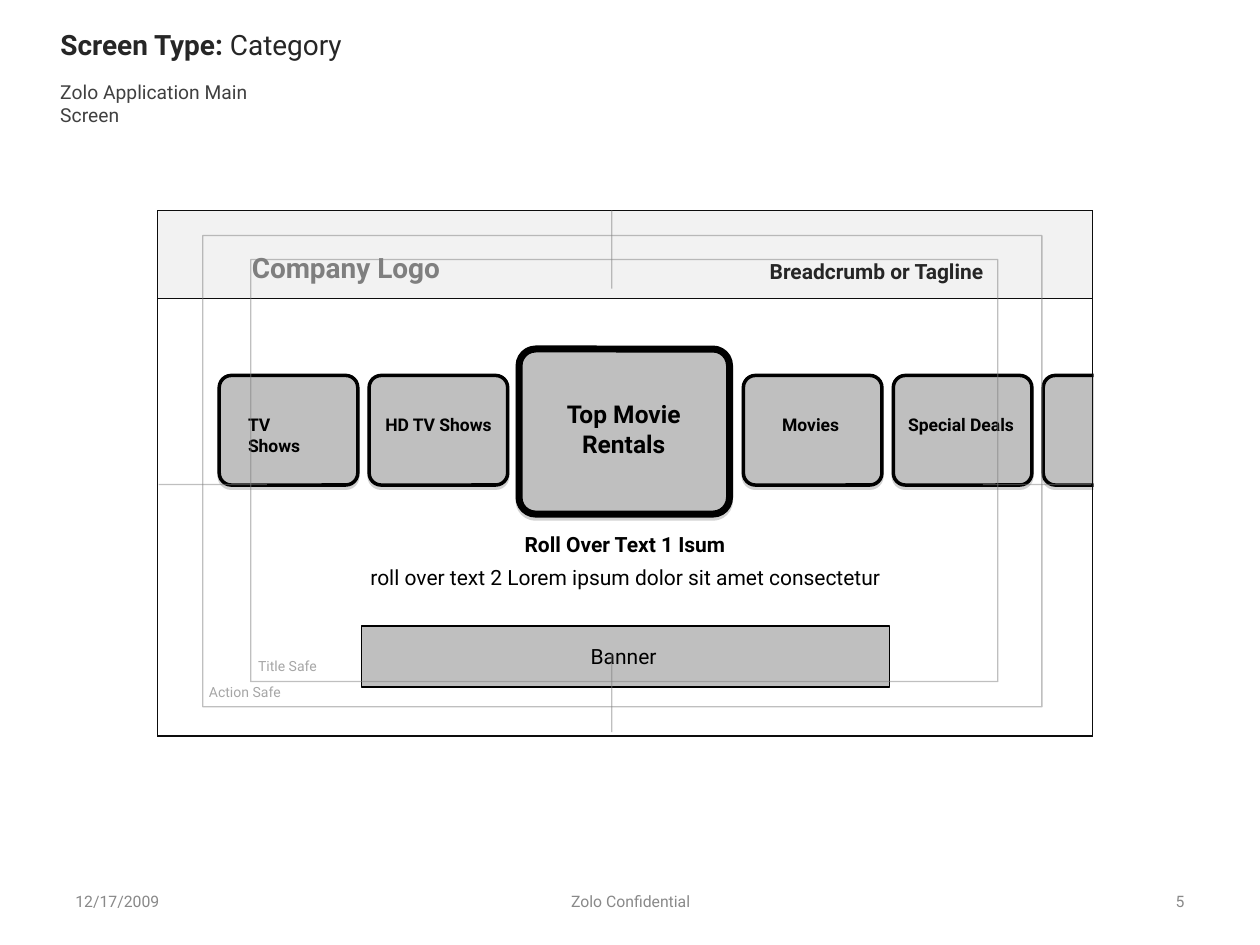
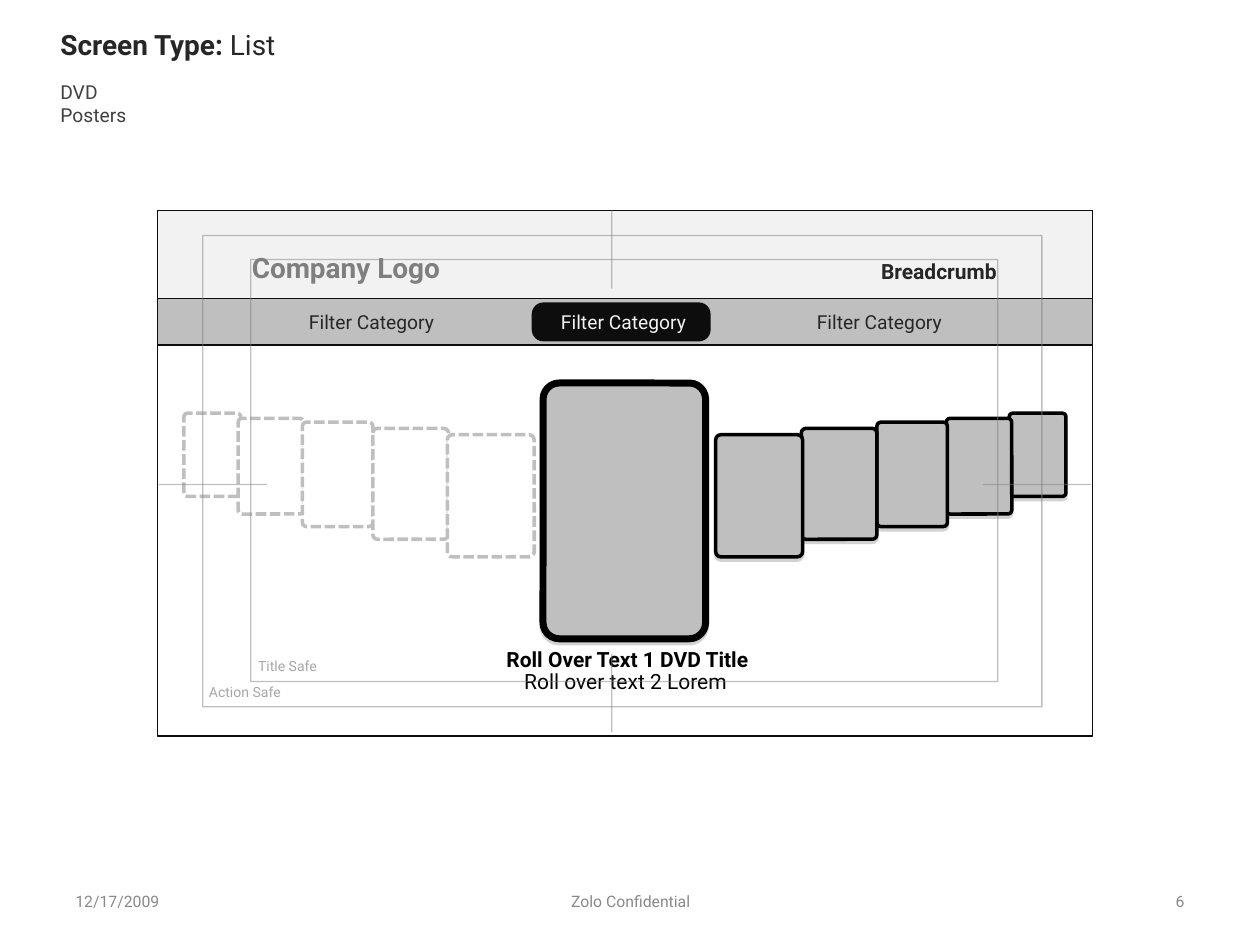
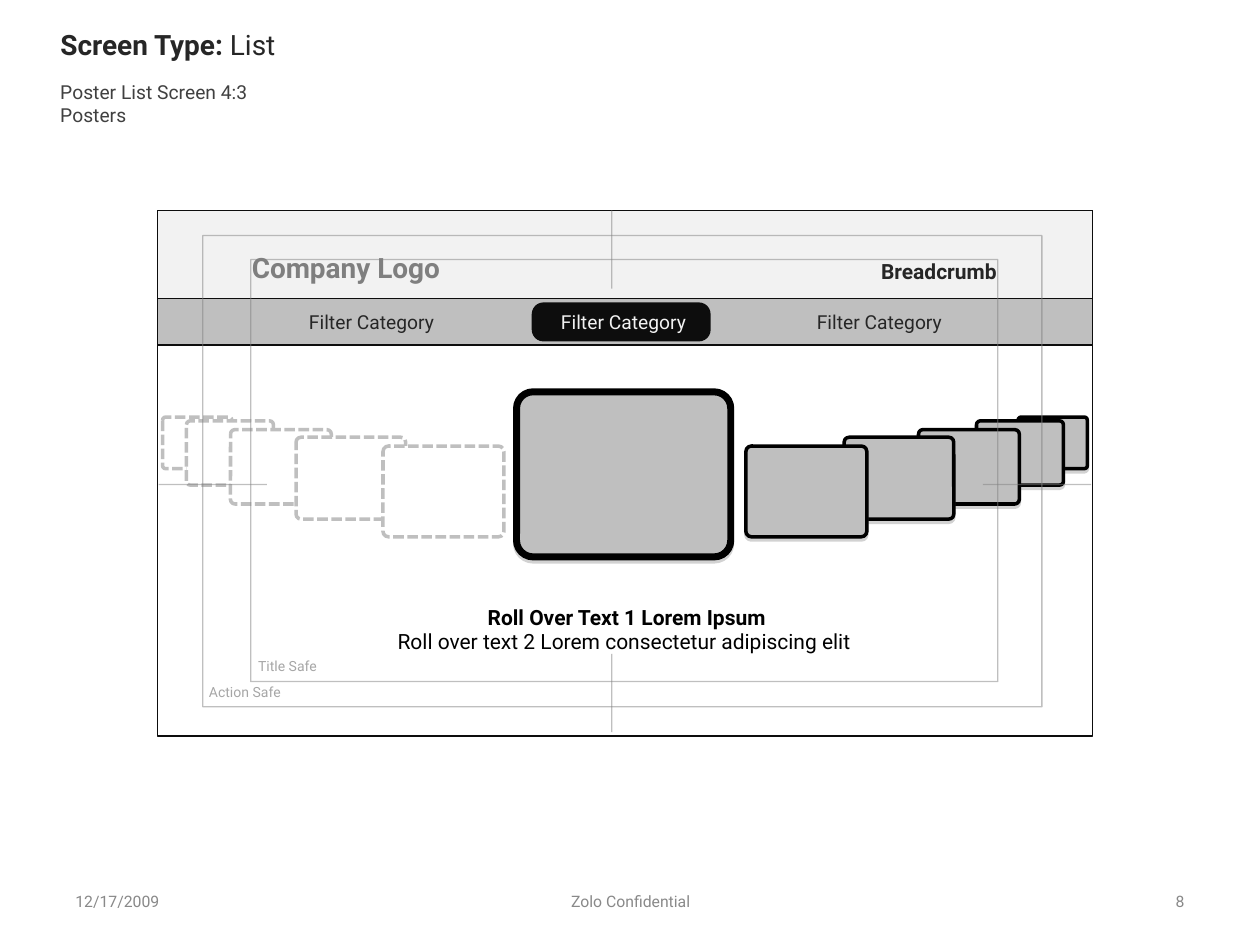
from dataclasses import dataclass
from pptx import Presentation
from pptx.dml.color import RGBColor
from pptx.enum.dml import MSO_LINE
from pptx.enum.shapes import MSO_CONNECTOR, MSO_SHAPE
from pptx.enum.text import MSO_ANCHOR, MSO_AUTO_SIZE, PP_ALIGN
from pptx.oxml import parse_xml
from pptx.oxml.ns import nsdecls, qn
from pptx.util import Inches, Pt
from lxml.etree import SubElement


@dataclass(frozen=True)
class Theme:
    font: str = "Roboto"
    black: str = "000000"
    ink: str = "0D0D0D"
    dark: str = "262626"
    body: str = "404040"
    logo: str = "7F7F7F"
    guide: str = "808080"
    footer: str = "898989"
    safe: str = "A6A6A6"
    tile: str = "BFBFBF"
    pale: str = "F2F2F2"
    white: str = "FFFFFF"
    title_size: float = 16
    focus_size: float = 14
    copy_size: float = 12
    label_size: float = 11
    tile_size: float = 10
    footer_size: float = 9
    safe_size: float = 8


T = Theme()
LEFT, CENTER, RIGHT = PP_ALIGN.LEFT, PP_ALIGN.CENTER, PP_ALIGN.RIGHT
FRAME = (1.25, 1.67, 7.42, 4.17)
MIRROR = 9.92
SHADOW = (
    f'<a:effectLst {nsdecls("a")}><a:outerShdw dist="22860" dir="5400000" '
    f'rotWithShape="0"><a:srgbClr val="{T.guide}"><a:alpha val="35000"/>'
    "</a:srgbClr></a:outerShdw></a:effectLst>"
)


def apply(obj, values):
    for name, value in values.items():
        setattr(obj, name, value)


def inches(box):
    return [Inches(v) for v in box]


def add_run(p, text, size, color, bold=False):
    r = p.add_run()
    r.text = text
    apply(r.font, {"name": T.font, "size": Pt(size), "bold": bold})
    r.font.color.rgb = RGBColor.from_string(color)


def add_text(shapes, box, text, size, color, bold=False, align=LEFT,
             anchor=MSO_ANCHOR.TOP, wrap=False, right=0.1):
    tf = shapes.add_textbox(*inches(box)).text_frame
    apply(tf, {"word_wrap": wrap, "vertical_anchor": anchor,
               "auto_size": MSO_AUTO_SIZE.NONE, "margin_right": Inches(right)})
    for i, line in enumerate(text.split("\n")):
        p = tf.add_paragraph() if i else tf.paragraphs[0]
        p.alignment = align
        add_run(p, line, size, color, bold)


def add_box(shapes, box, fill=None, line=None, width=1, radius=None,
            dash=None, alpha=None, shadow=False):
    kind = MSO_SHAPE.RECTANGLE if radius is None else MSO_SHAPE.ROUNDED_RECTANGLE
    sp = shapes.add_shape(kind, *inches(box))
    sp.shadow.inherit = False
    if radius is not None:
        sp.adjustments[0] = radius
    if fill:
        sp.fill.solid()
        sp.fill.fore_color.rgb = RGBColor.from_string(fill)
    else:
        sp.fill.background()
    if line:
        sp.line.color.rgb = RGBColor.from_string(line)
        apply(sp.line, {"width": Pt(width), "dash_style": dash})
    else:
        sp.line.fill.background()
    pr = sp._element.spPr
    if alpha:
        for color in pr.iter(qn("a:srgbClr")):
            SubElement(color, qn("a:alpha")).set("val", str(alpha * 1000))
    if shadow:
        pr.replace(pr.find(qn("a:effectLst")), parse_xml(SHADOW))


def add_line(shapes, start, end, color):
    c = shapes.add_connector(MSO_CONNECTOR.STRAIGHT, *inches(start + end))
    c.line.color.rgb = RGBColor.from_string(color)
    c.line.width = Pt(1)
    SubElement(c._element.spPr, qn("a:effectLst"))


def add_tile(s, box, radius, width=2):
    add_box(s.shapes, box, T.tile, T.black, width, radius, shadow=True)


def add_title(s, name):
    title = s.shapes.title
    apply(title, dict(zip(("left", "top", "width", "height"),
                          inches((0.38, 0.22, 9, 0.44)))))
    tf = title.text_frame
    apply(tf, {"vertical_anchor": MSO_ANCHOR.TOP, "margin_top": 0,
               "auto_size": MSO_AUTO_SIZE.NONE})
    p = tf.paragraphs[0]
    p.alignment = LEFT
    add_run(p, "Screen Type: ", T.title_size, T.dark, True)
    add_run(p, name, T.title_size, T.dark)


def add_footer(s, number):
    for x, w, text, align in ((0.5, 2.33, "12/17/2009", LEFT),
                              (3.42, 3.17, "Zolo Confidential", CENTER),
                              (7.17, 2.33, number, RIGHT)):
        add_text(s.shapes, (x, 6.95, w, 0.4), text, T.footer_size, T.footer,
                 align=align, anchor=MSO_ANCHOR.MIDDLE, wrap=True)


def start_slide(prs, name, subtitle, subtitle_width, number):
    s = prs.slides.add_slide(prs.slide_layouts[5])
    add_title(s, name)
    add_footer(s, number)
    add_text(s.shapes, (0.38, 0.59, subtitle_width, 0.48), subtitle,
             T.label_size, T.body, wrap=True, right=0.3)
    add_box(s.shapes, (1.25, 1.67, 7.42, 0.7), T.pale, T.ink)
    add_text(s.shapes, (1.9, 1.94, 1.72, 0.37), "Company Logo",
             T.title_size, T.logo, True)
    return s


def add_filters(s):
    add_box(s.shapes, (1.25, 2.37, 7.42, 0.37), T.tile, T.ink)
    add_box(s.shapes, (4.22, 2.4, 1.42, 0.31), T.ink, radius=0.3)
    for x, color in ((2.33, T.dark), (4.33, T.pale), (6.36, T.dark)):
        add_text(s.shapes, (x, 2.41, 1.24, 0.28), "Filter Category",
                 T.label_size, color, align=CENTER)


def add_posters(s, posters):
    for x, y, w, h in posters:
        add_box(s.shapes, (x, y, w, h), T.white, T.tile, 2, 0.06,
                MSO_LINE.SQUARE_DOT)
        add_tile(s, (MIRROR - x - w, y, w, h), 0.06)


def add_captions(s, first, first_box, second, second_box):
    for text, box, bold in ((first, first_box, True),
                            (second, second_box, False)):
        add_text(s.shapes, box, text, T.copy_size, T.black, bold, CENTER)


def add_safe_areas(s):
    shapes = s.shapes.add_group_shape().shapes
    add_box(shapes, FRAME, line=T.ink)
    for area in ((1.61, 1.87, 6.66, 3.74), (1.99, 2.06, 5.93, 3.35)):
        add_box(shapes, area, line=T.guide, width=0.75, alpha=50)
    for x in (1.26, 7.8):
        add_box(shapes, (x, 3.84, 0.86, 0.01), T.guide, alpha=50)
    for y in (1.67, 5.19):
        add_box(shapes, (4.85, y, 0.01, 0.62), T.guide, alpha=50)
    for x, y, text in ((1.56, 5.36, "Action Safe"), (1.95, 5.15, "Title Safe")):
        add_text(shapes, (x, y, 1.07, 0.27), text, T.safe_size, T.safe,
                 anchor=MSO_ANCHOR.MIDDLE, wrap=True)


def category_slide(prs):
    s = start_slide(prs, "Category", "Zolo Application Main Screen", 2.23, "5")
    add_box(s.shapes, FRAME, line=T.black)
    add_text(s.shapes, (6.01, 2, 1.98, 0.3), "Breadcrumb or Tagline",
             T.copy_size, T.dark, True)
    add_tile(s, (4.12, 2.77, 1.67, 1.31), 0.1, 4)
    for first, count in ((1.74, 2), (5.9, 3)):
        for i in range(count):
            add_tile(s, (first + 1.19 * i, 2.98, 1.1, 0.87), 0.11)
    add_text(s.shapes, (4.39, 3.12, 1.12, 0.57), "Top Movie\nRentals",
             T.focus_size, T.black, True, CENTER)
    add_text(s.shapes, (1.87, 3.24, 0.82, 0.44), "TV Shows",
             T.tile_size, T.black, True, wrap=True, right=0.2)
    for x, w, text in ((2.96, 1.05, "HD TV Shows"), (6.11, 0.65, "Movies"),
                       (7.11, 1.06, "Special Deals")):
        add_text(s.shapes, (x, 3.24, w, 0.27), text, T.tile_size, T.black, True)
    add_box(s.shapes, (2.87, 4.97, 4.19, 0.48), T.tile, T.black)
    add_text(s.shapes, (4.59, 5.06, 0.74, 0.3), "Banner", T.copy_size, T.black)
    add_box(s.shapes, (8.68, 2.74, 0.93, 1.3), T.white)
    add_line(s.shapes, (8.67, 2.69), (8.67, 4), T.black)
    add_captions(s, "Roll Over Text 1 Isum", (4.02, 4.17, 1.88, 0.3),
                 "roll over text 2 Lorem ipsum dolor sit amet consectetur",
                 (2.72, 4.43, 4.49, 0.3))
    add_safe_areas(s)


def list_slide(prs, subtitle, subtitle_width, number, focus, posters, captions):
    s = start_slide(prs, "List", subtitle, subtitle_width, number)
    add_filters(s)
    add_tile(s, focus, 0.1, 4)
    add_posters(s, posters)
    add_captions(s, *captions)
    add_text(s.shapes, (6.85, 2, 1.16, 0.3), "Breadcrumb",
             T.copy_size, T.dark, True, RIGHT)
    add_safe_areas(s)


def main():
    prs = Presentation()
    apply(prs, {"slide_width": Inches(10), "slide_height": Inches(7.5)})
    category_slide(prs)
    list_slide(
        prs, "DVD Posters", 1.02, "6", (4.31, 3.04, 1.29, 2.03),
        ((1.46, 3.28, 0.45, 0.66), (1.89, 3.32, 0.52, 0.76),
         (2.4, 3.35, 0.56, 0.83), (2.96, 3.4, 0.6, 0.88),
         (3.55, 3.45, 0.69, 0.97)),
        ("Roll Over Text 1 DVD Title", (3.86, 5.08, 2.24, 0.3),
         "Roll over text 2 Lorem", (4.02, 5.26, 1.89, 0.3)))
    list_slide(
        prs, "Poster List Screen 4:3 Posters", 2.24, "8",
        (4.1, 3.11, 1.7, 1.31),
        ((1.29, 3.31, 0.55, 0.41), (1.48, 3.34, 0.69, 0.51),
         (1.83, 3.41, 0.8, 0.59), (2.35, 3.47, 0.87, 0.65),
         (3.04, 3.54, 0.96, 0.72)),
        ("Roll Over Text 1 Lorem Ipsum", (3.71, 4.75, 2.53, 0.3),
         "Roll over text 2 Lorem consectetur adipiscing elit",
         (2.99, 4.94, 3.93, 0.3)))
    prs.save("out.pptx")


main()
